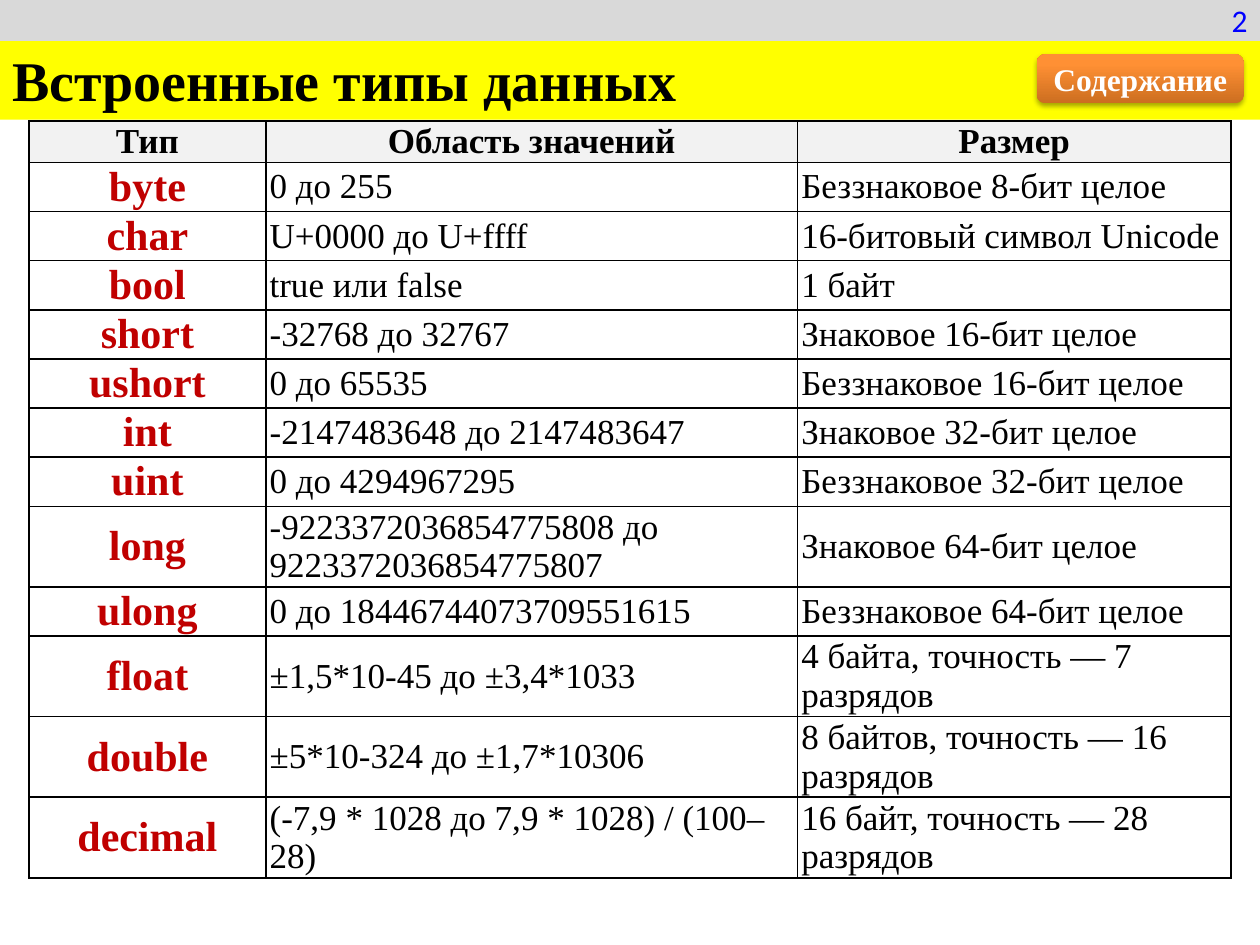
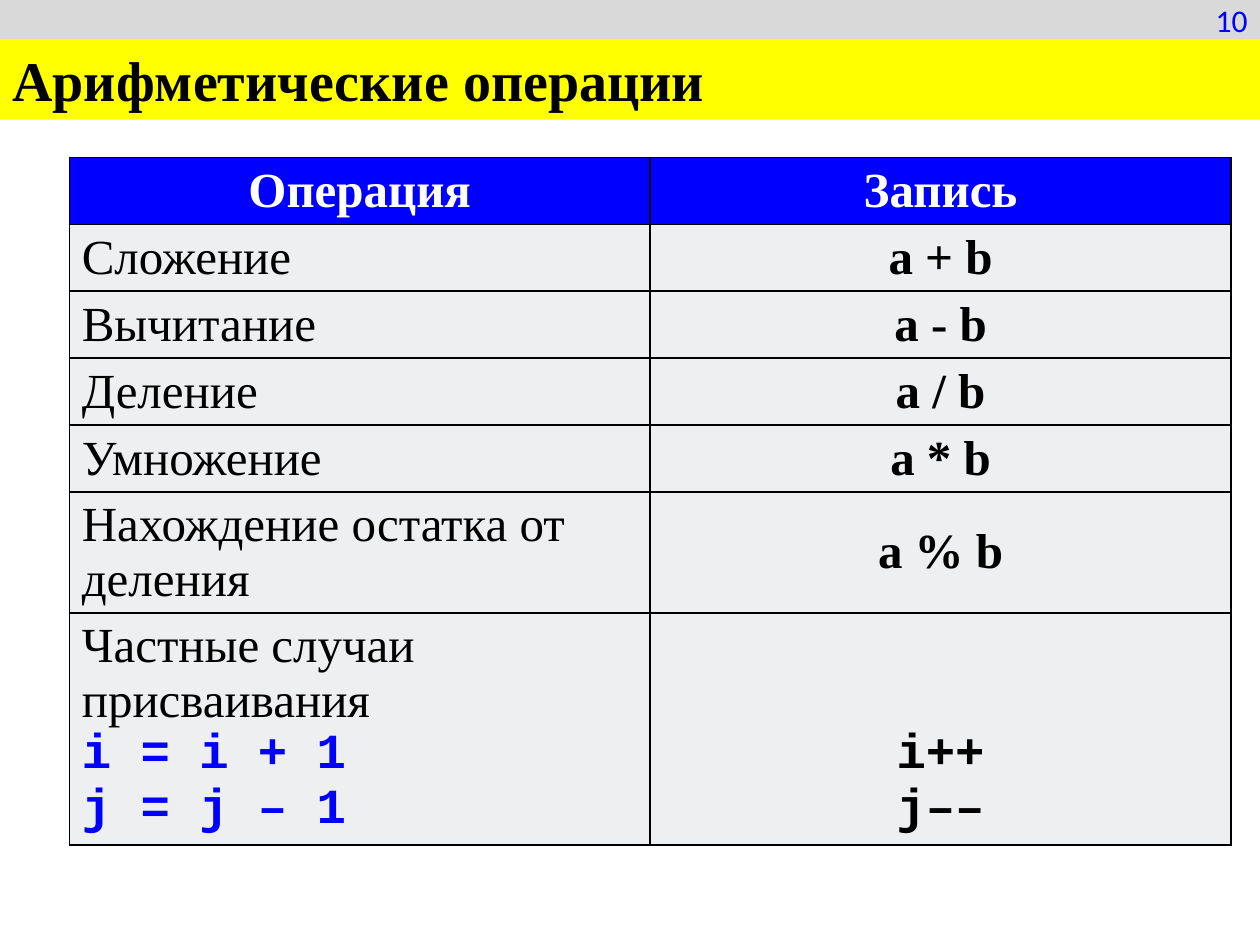
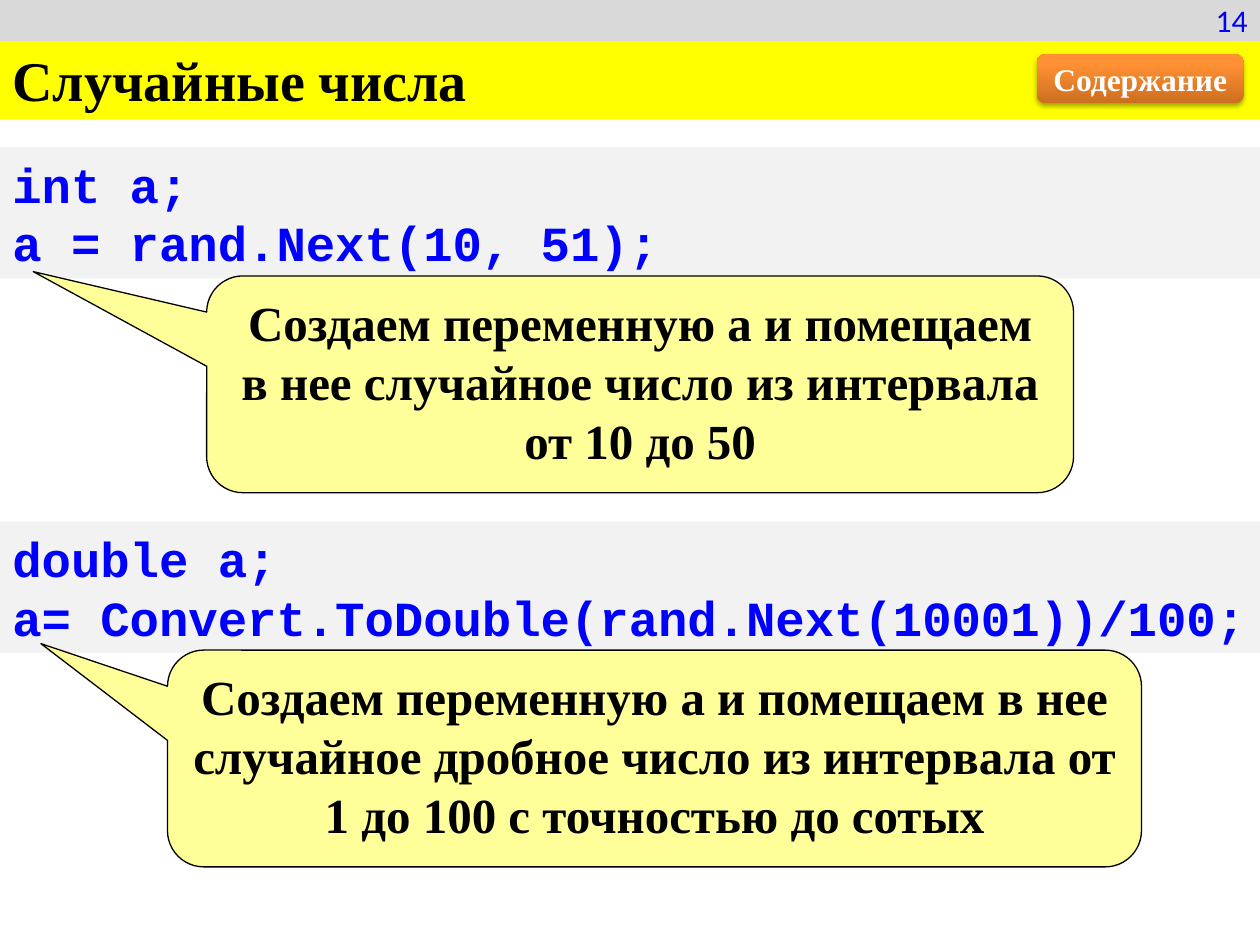
from lxml import etree
from pptx import Presentation
from pptx.dml.color import RGBColor
from pptx.enum.shapes import MSO_SHAPE as Shape
from pptx.enum.text import MSO_ANCHOR as Anchor, PP_ALIGN as Align
from pptx.oxml import parse_xml
from pptx.oxml.ns import nsdecls
from pptx.util import Inches, Pt

SERIF, MONO, SANS = "Times New Roman", "Courier New", "Calibri"
BLACK, WHITE, BLUE, RED = "000000", "FFFFFF", "0000FF", "C00000"
STRIP, TITLE, PALE, ROW, NOTE = "D9D9D9", "FFFF00", "F2F2F2", "EEEFF0", "FFFF99"

TITLE_TEXT = dict(name=SERIF, size=32, color=BLACK, bold=True)
NUMBER_TEXT = dict(name=SANS, size=18, color=BLUE, bold=False)
BUTTON_TEXT = dict(name=SERIF, size=18, color=WHITE, bold=True)
CODE_TEXT = dict(name=MONO, size=28, color=BLUE, bold=True)
NOTE_TEXT = dict(name=SERIF, size=28, color=BLACK, bold=True)
PLAIN_TEXT = dict(NOTE_TEXT, bold=False)

BUTTON_STOPS = [(0, "CC6E20"), (80, "FF9034"), (100, "FF9136")]

TYPES = [
    ("byte", "0 до 255", "Беззнаковое 8-бит целое"),
    ("char", "U+0000 до U+ffff", "16-битовый символ Unicode"),
    ("bool", "true или false", "1 байт"),
    ("short", "-32768 до 32767", "Знаковое 16-бит целое"),
    ("ushort", "0 до 65535", "Беззнаковое 16-бит целое"),
    ("int", "-2147483648 до 2147483647", "Знаковое 32-бит целое"),
    ("uint", "0 до 4294967295", "Беззнаковое 32-бит целое"),
    ("long", "-9223372036854775808 до 9223372036854775807", "Знаковое 64-бит целое"),
    ("ulong", "0 до 18446744073709551615", "Беззнаковое 64-бит целое"),
    ("float", "±1,5*10-45 до ±3,4*1033", "4 байта, точность — 7 разрядов"),
    ("double", "±5*10-324 до ±1,7*10306", "8 байтов, точность — 16 разрядов"),
    ("decimal", "(-7,9 * 1028 до 7,9 * 1028) / (100–28)", "16 байт, точность — 28 разрядов"),
]
TWO_LINE_TYPES = {"long", "float", "double", "decimal"}

OPERATIONS = [
    ("Сложение", "a + b"),
    ("Вычитание", "a - b"),
    ("Деление", "a / b"),
    ("Умножение", "a * b"),
    ("Нахождение остатка от деления", "a % b"),
]


def rgb(value):
    return RGBColor.from_string(value)


def write(frame, lines, align=Align.LEFT):
    """Fill a text frame with (text, font style) lines."""
    for index, (text, style) in enumerate(lines):
        paragraph = frame.add_paragraph() if index else frame.paragraphs[0]
        paragraph.alignment = align
        run = paragraph.add_run()
        run.text = text
        values = dict(style, size=Pt(style["size"]))
        run.font.color.rgb = rgb(values.pop("color"))
        for attribute, value in values.items():
            setattr(run.font, attribute, value)


def add_box(slide, box, lines, fill, kind=Shape.RECTANGLE, line=None, width=0.75,
            align=Align.LEFT, anchor=Anchor.TOP):
    shape = slide.shapes.add_shape(kind, *map(Inches, box))
    shape.shadow.inherit = False
    shape.fill.solid()
    shape.fill.fore_color.rgb = rgb(fill)
    if line:
        shape.line.color.rgb = rgb(line)
        shape.line.width = Pt(width)
    else:
        shape.line.fill.background()
    shape.text_frame.word_wrap = True
    shape.text_frame.vertical_anchor = anchor
    write(shape.text_frame, lines, align)
    return shape


def add_number_strip(slide, number):
    add_box(slide, (0, 0, 10, 0.31), [(number, NUMBER_TEXT)], STRIP, line=STRIP,
            width=2, align=Align.RIGHT, anchor=Anchor.MIDDLE)


def add_title(slide, title):
    add_box(slide, (0, 0.31, 10, 0.64), [(title, TITLE_TEXT)], TITLE)


def add_contents_button(slide):
    button = add_box(slide, (8.23, 0.43, 1.64, 0.39), [("Содержание", BUTTON_TEXT)],
                     BUTTON_STOPS[-1][1], Shape.ROUNDED_RECTANGLE,
                     align=Align.CENTER, anchor=Anchor.MIDDLE)
    properties = button.fill._xPr
    stops = "".join(f'<a:gs pos="{position * 1000}"><a:srgbClr val="{color}"/></a:gs>'
                    for position, color in BUTTON_STOPS)
    gradient = parse_xml(f'<a:gradFill {nsdecls("a")} rotWithShape="1"><a:gsLst>{stops}'
                         '</a:gsLst><a:lin ang="16200000" scaled="0"/></a:gradFill>')
    properties.replace(properties.solidFill, gradient)
    properties.find("{*}effectLst").append(parse_xml(
        f'<a:outerShdw {nsdecls("a")} blurRad="{Pt(3.1)}" dist="{Pt(1.8)}" dir="5400000" '
        'rotWithShape="0"><a:srgbClr val="000000"><a:alpha val="35000"/></a:srgbClr>'
        '</a:outerShdw>'))


def add_grid(slide, left, top, columns, rows):
    """Add an unstyled table with the given column widths and row heights."""
    box = (left, top, sum(columns), sum(rows))
    table = slide.shapes.add_table(len(rows), len(columns), *map(Inches, box)).table
    table.first_row = table.horz_banding = False
    for column, width in zip(table.columns, columns):
        column.width = Inches(width)
    for row, height in zip(table.rows, rows):
        row.height = Inches(height)
    return table


def fill_cell(cell, lines, fill, align=Align.LEFT, anchor=Anchor.MIDDLE, insets=(0.1, 0.05)):
    side, end = map(Inches, insets)
    cell.margin_left = cell.margin_right = side
    cell.margin_top = cell.margin_bottom = end
    cell.vertical_anchor = anchor
    write(cell.text_frame, lines, align)
    properties = cell._tc.get_or_add_tcPr()
    for edge in ("lnL", "lnR", "lnT", "lnB"):
        properties.append(parse_xml(
            f'<a:{edge} {nsdecls("a")} w="{Pt(1)}"><a:solidFill>'
            f'<a:srgbClr val="{BLACK}"/></a:solidFill></a:{edge}>'))
    cell.fill.solid()
    cell.fill.fore_color.rgb = rgb(fill)


def build_types(slide):
    heights = [0.33] + [0.64 if name in TWO_LINE_TYPES else 0.39 for name, *_ in TYPES]
    table = add_grid(slide, 0.23, 0.96, (1.88, 4.22, 3.44), heights)
    value = dict(PLAIN_TEXT, size=20)
    heading = dict(value, bold=True)
    keyword = dict(NOTE_TEXT, size=24, color=RED)
    for r, texts in enumerate([("Тип", "Область значений", "Размер"), *TYPES]):
        for c, text in enumerate(texts):
            style = heading if r == 0 else keyword if c == 0 else value
            fill_cell(table.cell(r, c), [(text, style)], WHITE if r else PALE,
                      Align.LEFT if r and c else Align.CENTER, insets=(0.03, 0.01))
    add_title(slide, "Встроенные типы данных")
    add_number_strip(slide, "2")
    add_contents_button(slide)


def build_operations(slide):
    add_number_strip(slide, "10")
    table = add_grid(slide, 0.55, 1.25, (4.61, 4.61), [0.53] * 5 + [0.96, 1.84])
    heading = dict(NOTE_TEXT, color=WHITE)
    for c, text in enumerate(("Операция", "Запись")):
        fill_cell(table.cell(0, c), [(text, heading)], BLUE, Align.CENTER)
    for r, (operation, notation) in enumerate(OPERATIONS, 1):
        fill_cell(table.cell(r, 0), [(operation, PLAIN_TEXT)], ROW)
        fill_cell(table.cell(r, 1), [(notation, NOTE_TEXT)], ROW, Align.CENTER)
    fill_cell(table.cell(6, 0), [("Частные случаи присваивания", PLAIN_TEXT),
                                 ("i = i + 1", CODE_TEXT), ("j = j – 1", CODE_TEXT)], ROW)
    short_form = dict(CODE_TEXT, color=BLACK)
    fill_cell(table.cell(6, 1), [("i++", short_form), ("j––", short_form)], ROW,
              Align.CENTER, Anchor.BOTTOM)
    add_title(slide, "Арифметические операции")


def add_example(slide, top, code, note, left, width, tail):
    """Add a code band at top and the callout that explains it."""
    add_box(slide, (0, top, 10, 1.04), [(line, CODE_TEXT) for line in code], PALE,
            anchor=Anchor.MIDDLE)
    callout = add_box(slide, (left, top + 1.02, width, 1.72), [(note, NOTE_TEXT)], NOTE,
                      Shape.ROUNDED_RECTANGULAR_CALLOUT, line=BLACK, align=Align.CENTER)
    for index, value in enumerate((*tail, 0.167)):
        callout.adjustments[index] = value


def build_random(slide):
    add_title(slide, "Случайные числа")
    add_number_strip(slide, "14")
    add_example(slide, 1.17, ("int a;", "a = rand.Next(10, 51);"),
                "Создаем переменную а и помещаем в нее случайное число из интервала "
                "от 10 до 50", 1.64, 6.88, (-0.7, -0.52))
    add_example(slide, 4.14, ("double a;", "a= Convert.ToDouble(rand.Next(10001))/100;"),
                "Создаем переменную а и помещаем в нее случайное дробное число из интервала "
                "от 1 до 100 с точностью до сотых", 1.33, 7.73, (-0.63, -0.53))
    add_contents_button(slide)


def main():
    deck = Presentation()
    deck.slide_width, deck.slide_height = Inches(10), Inches(7.5)
    for build in (build_types, build_operations, build_random):
        build(deck.slides.add_slide(deck.slide_layouts[6]))
    deck.save("out.pptx")


if __name__ == "__main__":
    main()
